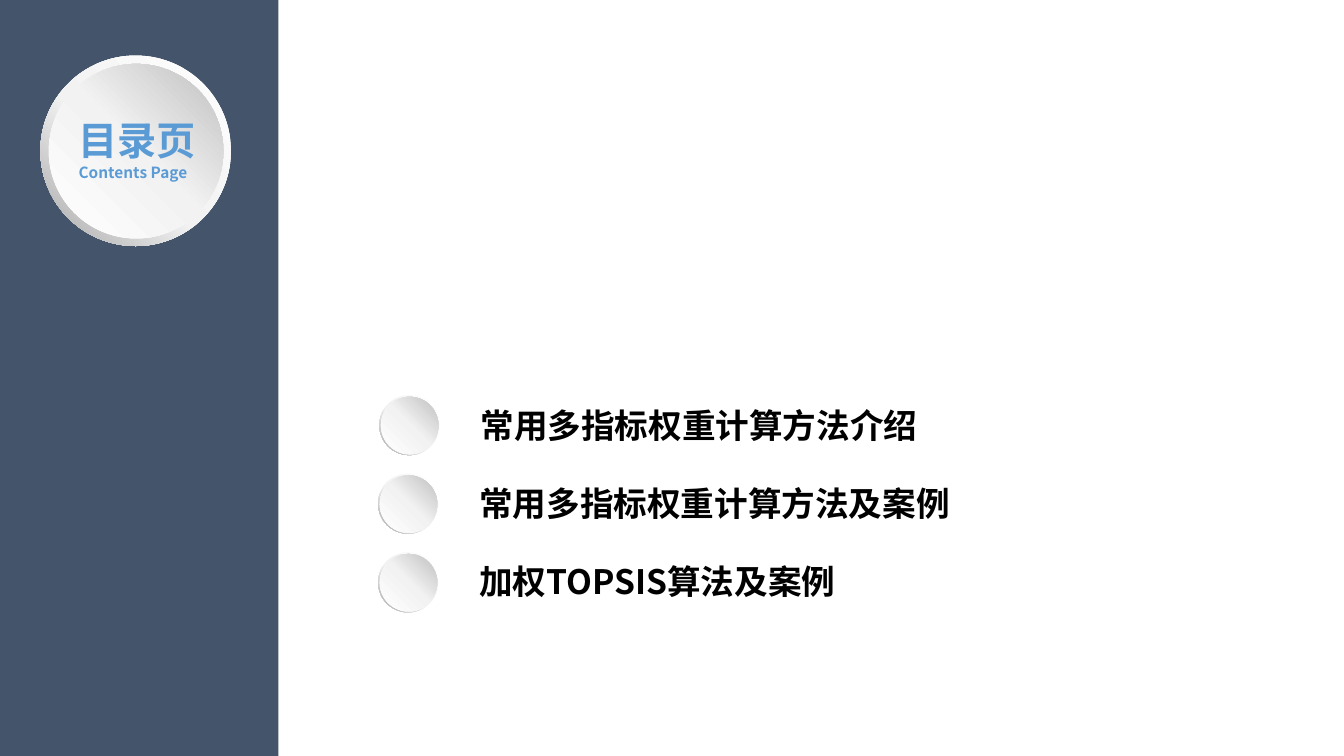
from copy import deepcopy

from lxml import etree
from pptx import Presentation
from pptx.dml.color import RGBColor
from pptx.enum.shapes import MSO_SHAPE as Shape
from pptx.oxml.ns import qn
from pptx.util import Cm, Pt

FONT = "Noto Sans CJK SC"
COLORS = {
    "sidebar": "44546A",
    "heading": "5B9BD5",
    "topic": "000000",
    "white": "FFFFFF",
    "pale": "F2F2F2",
    "rim_dark": "A6A6A6",
    "face_dark": "BFBFBF",
}

prs = Presentation()
prs.slide_width, prs.slide_height = Cm(33.87), Cm(19.05)
slide = prs.slides.add_slide(prs.slide_layouts[6])


def add_button(left, top, size, face_offset, face_size):
    """Draw a raised round button, lit from the upper right."""
    layers = [
        (Shape.DONUT, 0, size, 0.55, "rim_dark", 225),
        (Shape.OVAL, face_offset, face_size, 0.51, "face_dark", 45),
    ]
    for preset, offset, diameter, middle, dark, angle in layers:
        disc = slide.shapes.add_shape(
            preset, Cm(left + offset), Cm(top + offset), Cm(diameter), Cm(diameter))
        disc.shadow.inherit = False
        disc.line.fill.background()
        if preset == Shape.DONUT:
            disc.adjustments[0] = 0.049
        disc.fill.gradient()
        disc.fill.gradient_angle = angle
        stop_list = disc._element.spPr.find(qn("a:gradFill")).find(qn("a:gsLst"))
        stop_list.insert(1, deepcopy(stop_list[0]))
        shades = [(0, "white"), (middle, "pale"), (1, dark)]
        for stop, (position, shade) in zip(disc.fill.gradient_stops, shades):
            stop.position = position
            stop.color.rgb = RGBColor.from_string(COLORS[shade])


def write(paragraph, text, size, color):
    paragraph.text = text
    font = paragraph.font
    font.size, font.bold, font.name = Pt(size), True, FONT
    font.color.rgb = RGBColor.from_string(COLORS[color])
    etree.SubElement(font._element, qn("a:ea"), typeface=FONT)


sidebar = slide.shapes.add_shape(Shape.RECTANGLE, 0, 0, Cm(7.02), prs.slide_height)
sidebar.shadow.inherit = False
sidebar.fill.solid()
sidebar.fill.fore_color.rgb = RGBColor.from_string(COLORS["sidebar"])
sidebar.line.fill.background()

add_button(1.02, 1.4, 4.8, 0.21, 4.4)
heading = slide.shapes.add_textbox(Cm(1.73), Cm(2.8), Cm(3.5), Cm(1.93)).text_frame
heading.word_wrap = False
write(heading.paragraphs[0], "目录页", 28, "heading")
write(heading.add_paragraph(), "Contents Page", 11, "heading")

# Topic, left edge of its button, width of its label
topics = [
    ("常用多指标权重计算方法介绍", 9.56, 11.63),
    ("常用多指标权重计算方法及案例", 9.53, 12.47),
    ("加权TOPSIS算法及案例", 9.53, 9.58),
]
for row, (topic, left, width) in enumerate(topics):
    add_button(left, 9.96 + 1.98 * row, 1.51, 0.04, 1.45)
    label = slide.shapes.add_textbox(
        Cm(left + 2.3), Cm(10.08 + 1.96 * row), Cm(width), Cm(1.28)).text_frame
    label.word_wrap = True
    write(label.paragraphs[0], topic, 24, "topic")

prs.save("out.pptx")
